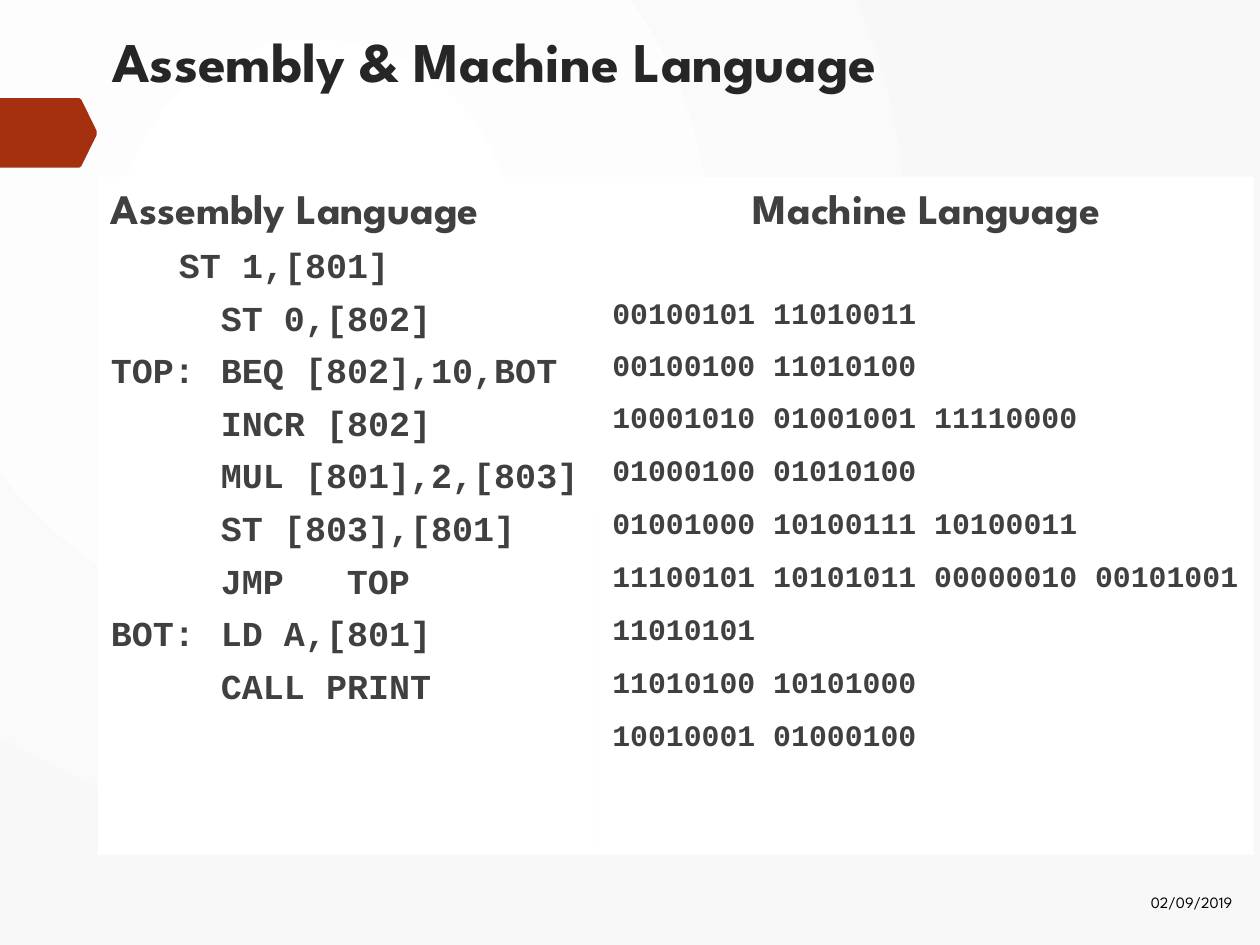
from dataclasses import dataclass

import lxml.etree
import pptx
import pptx.dml.color
import pptx.enum.text
import pptx.oxml
import pptx.oxml.ns
import pptx.util
from pptx.util import Cm

HEADING_FONT = "League Spartan"
CODE_FONT = "Courier New"
BODY_COLOR = "404040"
ALIGN = pptx.enum.text.PP_ALIGN
ANCHOR = pptx.enum.text.MSO_ANCHOR


@dataclass
class Line:
    text: str
    size: float
    font: str = CODE_FONT
    color: str = BODY_COLOR
    bold: bool = True
    align: int = ALIGN.LEFT
    before: float = 0
    spacing: float = 1.0
    hanging: float = 0


@dataclass
class Box:
    left: float
    top: float
    width: float
    height: float


def rgb(value: str) -> pptx.dml.color.RGBColor:
    return pptx.dml.color.RGBColor.from_string(value)


def paint(shape, color: str) -> None:
    shape.fill.solid()
    shape.fill.fore_color.rgb = rgb(color)


def place(shape, box: Box) -> None:
    shape.left, shape.top = Cm(box.left), Cm(box.top)
    shape.width, shape.height = Cm(box.width), Cm(box.height)


def write(shape, lines: list[Line], anchor=ANCHOR.TOP) -> None:
    frame = shape.text_frame
    frame.word_wrap = True
    frame.auto_size = pptx.enum.text.MSO_AUTO_SIZE.NONE
    frame.vertical_anchor = anchor
    for index, line in enumerate(lines):
        paragraph = frame.add_paragraph() if index else frame.paragraphs[0]
        paragraph.text = line.text
        paragraph.alignment = line.align
        paragraph.space_before = pptx.util.Pt(line.before)
        paragraph.line_spacing = line.spacing
        # Hanging indent without a bullet
        properties = paragraph._p.get_or_add_pPr()
        properties.set("marL", str(Cm(line.hanging)))
        properties.set("indent", str(-Cm(line.hanging)))
        lxml.etree.SubElement(properties, pptx.oxml.ns.qn("a:buNone"))
        for run in paragraph.runs:
            run.font.name = line.font
            run.font.size = pptx.util.Pt(line.size)
            run.font.bold = line.bold
            run.font.color.rgb = rgb(line.color)


def set_background(slide, inner: str, outer: str) -> None:
    fill = slide.background.fill
    fill.gradient()
    for stop, color in zip(fill.gradient_stops, (inner, outer)):
        stop.color.rgb = rgb(color)
    gradient = slide._element.find(".//" + pptx.oxml.ns.qn("a:gradFill"))
    gradient.remove(gradient.find(pptx.oxml.ns.qn("a:lin")))
    gradient.append(pptx.oxml.parse_xml(
        f'<a:path {pptx.oxml.ns.nsdecls("a")} path="circle">'
        '<a:fillToRect l="50000" t="50000" r="100000" b="100000"/></a:path>'))


def add_marker(slide) -> None:
    outline = [(0, 1.98), (1.6, 1.98), (1.64, 2.01), (1.95, 2.64),
               (1.95, 2.72), (1.64, 3.35), (1.6, 3.38), (0, 3.38)]
    points = [(Cm(x), Cm(y)) for x, y in outline]
    builder = slide.shapes.build_freeform(*points[0])
    builder.add_line_segments(points[1:], close=True)
    marker = builder.convert_to_shape()
    marker.shadow.inherit = False
    marker.line.fill.background()
    paint(marker, "A53010")


presentation = pptx.Presentation()
presentation.slide_width, presentation.slide_height = Cm(25.4), Cm(19.05)
slide = presentation.slides.add_slide(presentation.slide_layouts[3])
set_background(slide, "FFFFFF", "F8F8F8")
add_marker(slide)

# Title
title, assembly, machine = slide.placeholders
place(title, Box(2.01, 0.41, 23.09, 2.26))
write(title, [Line("Assembly & Machine Language", 32, HEADING_FONT, "262626")])

# Assembly column
assembly_code = [
    "\t ST 1,[801]", "\t\tST 0,[802]", "TOP:\tBEQ [802],10,BOT",
    "\t\tINCR [802]", "\t\tMUL [801],2,[803]", "\t\tST [803],[801]",
    "\t\tJMP\tTOP", "BOT:\tLD A,[801]", "\t\tCALL PRINT",
]
place(assembly, Box(1.98, 3.56, 10.11, 13.67))
paint(assembly, "FFFFFF")
write(assembly, [Line("Assembly Language", 24, HEADING_FONT, before=6)]
      + [Line(code, 20, before=6, hanging=0.95) for code in assembly_code])

# Machine column
machine_code = [
    "00100101 11010011", "00100100 11010100", "10001010 01001001 11110000",
    "01000100 01010100", "01001000 10100111 10100011",
    "11100101 10101011 00000010 00101001", "11010101",
    "11010100 10101000", "10010001 01000100",
]
place(machine, Box(12.09, 3.56, 13.18, 13.67))
paint(machine, "FFFFFF")
write(machine, [Line("Machine Language", 24, HEADING_FONT, align=ALIGN.CENTER, before=6)]
      + [Line(code, 17, before=4.8 if row else 30.6, spacing=1.22 if row < 3 else 1.25)
         for row, code in enumerate(machine_code)])

# Date
date = slide.shapes.add_textbox(Cm(21.31), Cm(17.68), Cm(3.78), Cm(1.02))
write(date, [Line("02/09/2019", 9, HEADING_FONT, "000000", bold=False, align=ALIGN.RIGHT)],
      ANCHOR.MIDDLE)

presentation.save("out.pptx")
